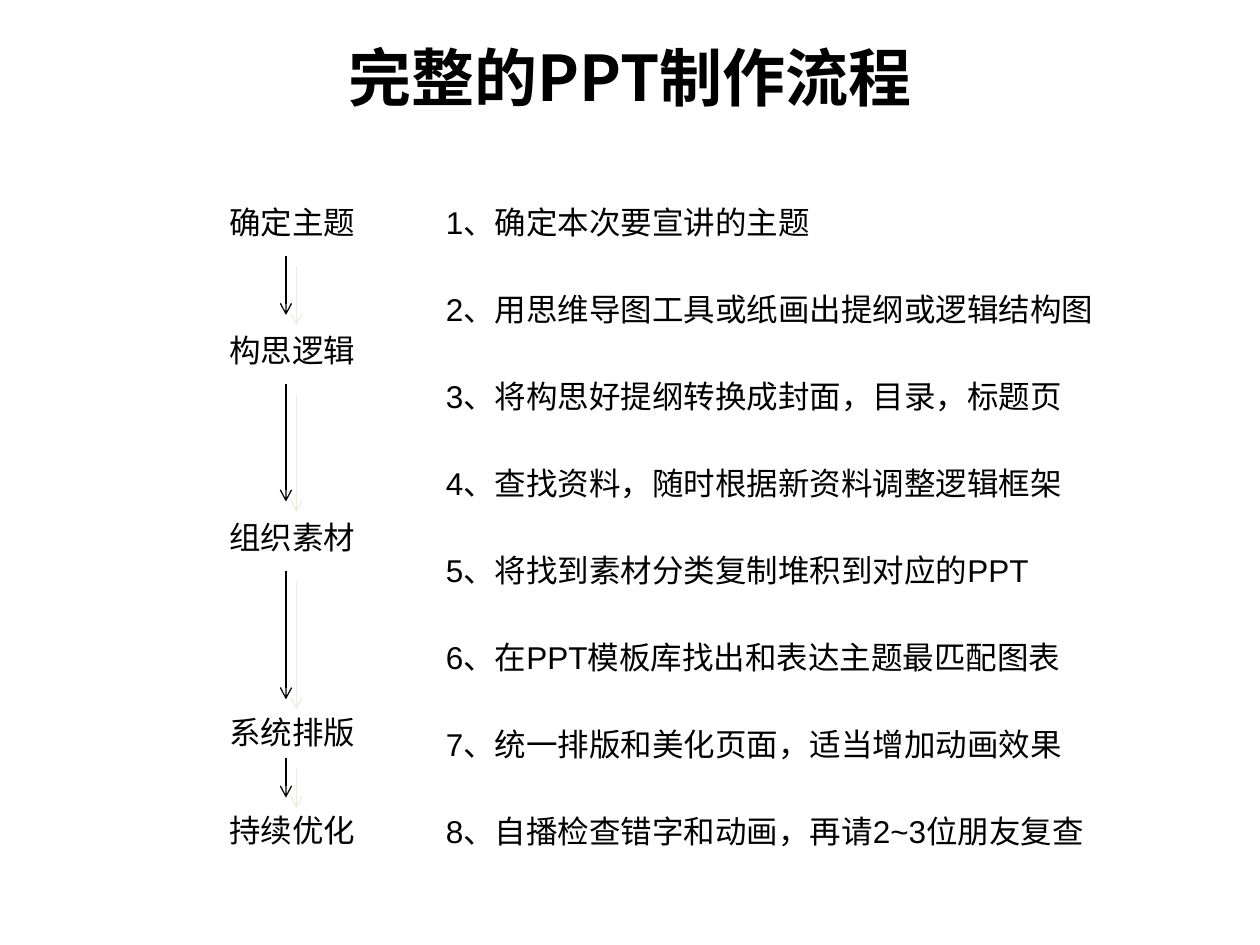
"""Build a slide that shows the presentation-making workflow as stages and steps."""
from dataclasses import dataclass

from lxml.etree import SubElement
from pptx import Presentation
from pptx.dml.color import RGBColor
from pptx.enum.shapes import MSO_CONNECTOR
from pptx.enum.text import MSO_ANCHOR, MSO_AUTO_SIZE, PP_ALIGN
from pptx.oxml.ns import qn
from pptx.util import Pt


@dataclass(frozen=True)
class Theme:
    ink: RGBColor = RGBColor(0, 0, 0)
    paper: RGBColor = RGBColor(255, 255, 255)
    shadow: str = "EEECE1"
    latin_font: str = "Arial"
    chinese_font: str = "Noto Sans CJK SC"
    title_size: int = 36
    body_size: int = 18


THEME = Theme()
TITLE = "完整的PPT制作流程"
LABEL_HEIGHT = 28.8
FIRST_TOP = 112.3
STEP_PITCH = 49.7
STAGE_LEFT = 123.8
STEP_LEFT = 247.7
ARROW_X = 163.4
STAGES = [
    ("确定主题", FIRST_TOP),
    ("构思逻辑", 185.8),
    ("组织素材", 292.3),
    ("系统排版", 403.9),
    ("持续优化", 460.1),
]
ARROWS = [(146.2, 180), (219.6, 286.6), (326.2, 399.6), (433.4, 455.8)]
STEPS = [
    ("1、确定本次要宣讲的主题", 348.5, True),
    ("2、用思维导图工具或纸画出提纲或逻辑结构图", 405.4, False),
    ("3、将构思好提纲转换成封面，目录，标题页", 393.8, False),
    ("4、查找资料，随时根据新资料调整逻辑框架", 393.8, False),
    ("5、将找到素材分类复制堆积到对应的PPT", 348.5, False),
    ("6、在PPT模板库找出和表达主题最匹配图表", 405.4, True),
    ("7、统一排版和美化页面，适当增加动画效果", 405.4, True),
    ("8、自播检查错字和动画，再请2~3位朋友复查", 410.4, True),
]


def format_run(run, font_name, size, bold=False):
    run.font.name = font_name
    run.font.size = Pt(size)
    run.font.bold = bold
    run.font.color.rgb = THEME.ink
    east_asian = SubElement(run.font._element, qn("a:ea"))
    east_asian.set("typeface", THEME.chinese_font)


def add_text(slide, text, left, top, width, height):
    shape = slide.shapes.add_textbox(Pt(left), Pt(top), Pt(width), Pt(height))
    shape.text_frame.word_wrap = True
    shape.text_frame.text = text
    return shape


def add_title(slide):
    shape = add_text(slide, TITLE, 36, 15.1, 648, 56.9)
    shape.text_frame.vertical_anchor = MSO_ANCHOR.MIDDLE
    paragraph = shape.text_frame.paragraphs[0]
    paragraph.alignment = PP_ALIGN.CENTER
    format_run(paragraph.runs[0], THEME.chinese_font, THEME.title_size, bold=True)


def add_label(slide, text, left, top, width, filled=False):
    shape = add_text(slide, text, left, top, width, LABEL_HEIGHT)
    shape.text_frame.auto_size = MSO_AUTO_SIZE.SHAPE_TO_FIT_TEXT
    format_run(shape.text_frame.paragraphs[0].runs[0], THEME.latin_font, THEME.body_size)
    if filled:
        shape.fill.solid()
        shape.fill.fore_color.rgb = THEME.paper


def add_arrow(slide, start, end):
    connector = slide.shapes.add_connector(
        MSO_CONNECTOR.STRAIGHT, Pt(ARROW_X), Pt(start), Pt(ARROW_X), Pt(end)
    )
    connector.line.color.rgb = THEME.ink
    connector.line.width = Pt(0.75)
    SubElement(connector.line._get_or_add_ln(), qn("a:tailEnd"), type="arrow")
    effects = SubElement(connector._element.spPr, qn("a:effectLst"))
    shadow = SubElement(
        effects, qn("a:outerShdw"), blurRad="0", dist=str(Pt(8.5)),
        dir=str(45 * 60000), algn="ctr", rotWithShape="0",
    )
    SubElement(shadow, qn("a:srgbClr"), val=THEME.shadow)


def main():
    presentation = Presentation()
    presentation.slide_width = Pt(720)
    presentation.slide_height = Pt(540)
    slide = presentation.slides.add_slide(presentation.slide_layouts[6])
    add_title(slide)
    for index, (text, width, filled) in enumerate(STEPS):
        add_label(slide, text, STEP_LEFT, FIRST_TOP + index * STEP_PITCH, width, filled)
    for text, top in STAGES:
        add_label(slide, text, STAGE_LEFT, top, 101.5)
    for start, end in ARROWS:
        add_arrow(slide, start, end)
    presentation.save("out.pptx")


if __name__ == "__main__":
    main()
